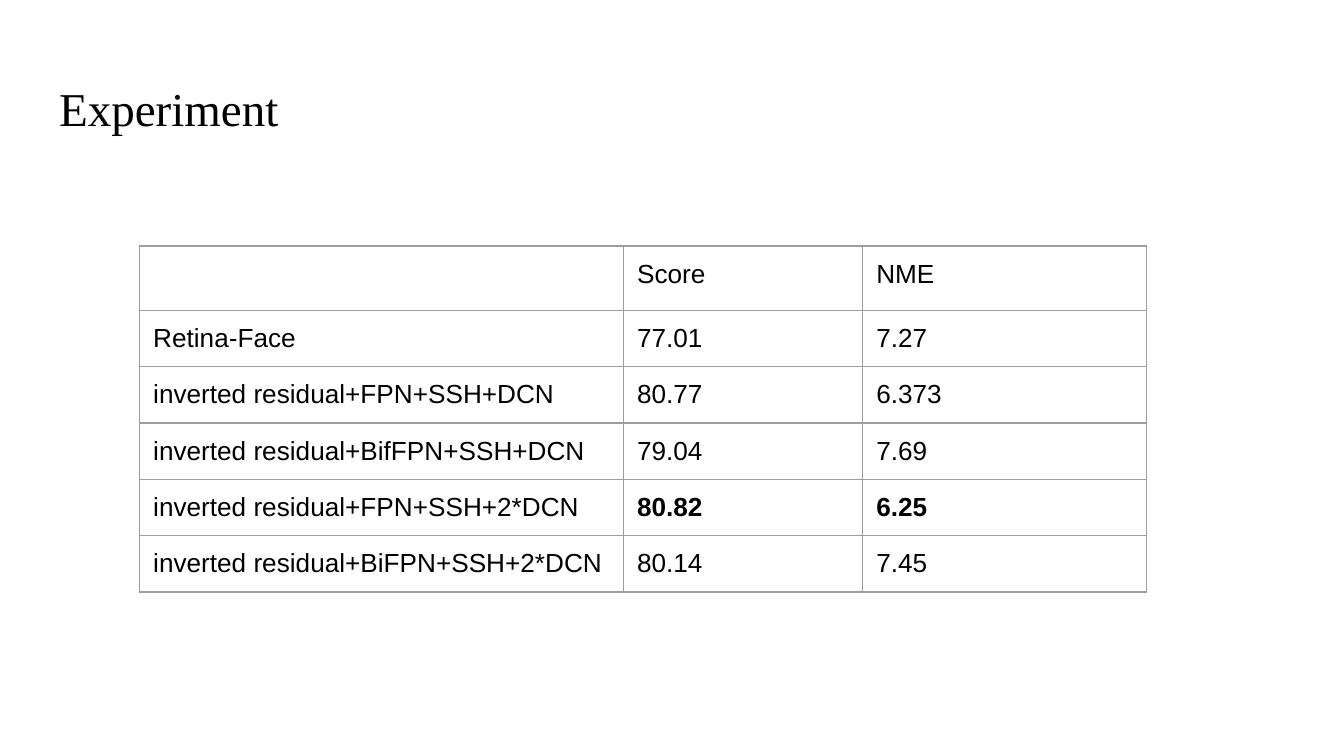
from lxml import etree
from pptx import Presentation
from pptx import util as u
from pptx.dml.color import RGBColor
from pptx.enum import text
from pptx.oxml import ns

TITLE = "Experiment"
ROWS = [
    ("", "Score", "NME"),
    ("Retina-Face", "77.01", "7.27"),
    ("inverted residual+FPN+SSH+DCN", "80.77", "6.373"),
    ("inverted residual+BifFPN+SSH+DCN", "79.04", "7.69"),
    ("inverted residual+FPN+SSH+2*DCN", "80.82", "6.25"),
    ("inverted residual+BiFPN+SSH+2*DCN", "80.14", "7.45"),
]
BEST = 4
WIDTHS = [3.6, 1.78, 2.11]
HEIGHT = 0.37
INK, EDGE = "000000", "9E9E9E"
HEAD = {"name": "Times New Roman", "size": u.Pt(25.2), "bold": False}
BODY = {"name": "Arial", "size": u.Pt(14), "bold": False}
SIDES = ("left", "top", "right", "bottom")
PAD = {f"margin_{side}": u.Inches(0.1) for side in SIDES}


def put(thing, values):
    for name, value in values.items():
        setattr(thing, name, value)


def tint(color, code):
    color.rgb = RGBColor.from_string(code)


def write(frame, words, style):
    run = frame.paragraphs[0].add_run()
    run.text = words
    put(run.font, style)
    tint(run.font.color, INK)


def blank(frame):
    end = etree.SubElement(frame.paragraphs[0]._p, ns.qn("a:endParaRPr"), sz="1800")
    etree.SubElement(end, ns.qn("a:latin"), typeface=BODY["name"])


def border(cell):
    props = cell._tc.get_or_add_tcPr()
    for spot, tag in enumerate(("a:lnL", "a:lnR", "a:lnT", "a:lnB")):
        line = etree.Element(ns.qn(tag), w=str(u.Pt(0.75)))
        fill = etree.SubElement(line, ns.qn("a:solidFill"))
        etree.SubElement(fill, ns.qn("a:srgbClr"), val=EDGE)
        props.insert(spot, line)


def place(left, top, width, height):
    return [u.Inches(n) for n in (left, top, width, height)]


deck = Presentation()
wide = u.Inches(10)
put(deck, {"slide_width": wide, "slide_height": wide * 9 // 16})
slide = deck.slides.add_slide(deck.slide_layouts[5])

title = slide.shapes.title
put(title, dict(zip(("left", "top", "width", "height"), place(0.34, 0.49, 9.32, 0.63))))
put(title.text_frame, {**PAD, "word_wrap": True,
                       "auto_size": text.MSO_AUTO_SIZE.NONE,
                       "vertical_anchor": text.MSO_ANCHOR.TOP})
title.text_frame.paragraphs[0].alignment = text.PP_ALIGN.LEFT
write(title.text_frame, TITLE, HEAD)

box = place(1.04, 1.83, sum(WIDTHS), HEIGHT * len(ROWS))
table = slide.shapes.add_table(len(ROWS), len(WIDTHS), *box).table
put(table, {"first_row": False, "horz_banding": False})
for col, width in zip(table.columns, WIDTHS):
    col.width = u.Inches(width)
for y, row in enumerate(table.rows):
    row.height = u.Inches(HEIGHT)
    for x, cell in enumerate(row.cells):
        put(cell, PAD)
        cell.fill.background()
        border(cell)
        if ROWS[y][x]:
            write(cell.text_frame, ROWS[y][x], {**BODY, "bold": y == BEST and x > 0})
        else:
            blank(cell.text_frame)

deck.save("out.pptx")
